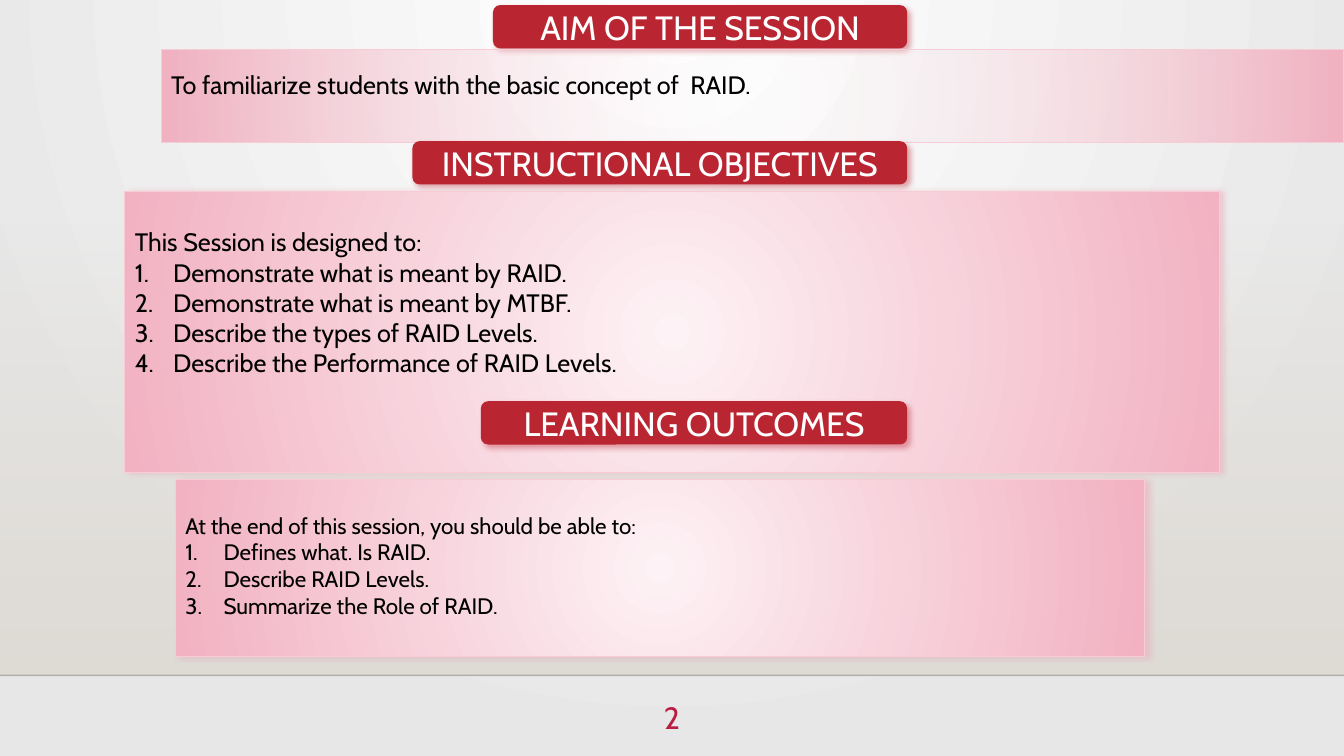
"""Build the session overview slide: aim, objectives and outcomes."""
from lxml.etree import SubElement
from pptx import Presentation
from pptx.dml.color import RGBColor
from pptx.enum.shapes import MSO_CONNECTOR, MSO_SHAPE
from pptx.enum.text import MSO_ANCHOR, PP_ALIGN
from pptx.oxml.ns import qn
from pptx.util import Inches, Pt

THEME = {
    "font": "Cabin", "heading": 24, "body": 18, "small": 16, "number": 22,
    "red": "BA2532", "accent": "B71E42", "white": "FFFFFF", "black": "000000",
    "edge": "F7CCD6", "pale": "FDF2F5", "pink": "F2B2C2", "glow": "EE99AD",
    "grey": "E7E7E7", "sand": "DFDBD5", "rule": "000001",
}

deck = Presentation()
deck.slide_width, deck.slide_height = Inches(13.33), Inches(7.5)
COLUMN, ROW = deck.slide_width / 100, deck.slide_height / 100
page = deck.slides.add_slide(deck.slide_layouts[6])


def paint_gradient(fill, element, start, end, start_alpha=100, centre=None):
    """Fill with a two-colour gradient, circular when a centre is given."""
    fill.gradient()
    gradient = element.find(".//" + qn("a:gradFill"))
    for child in list(gradient):
        gradient.remove(child)
    stops = SubElement(gradient, qn("a:gsLst"))
    for position, colour, alpha in ((0, start, start_alpha), (100, end, 100)):
        stop = SubElement(stops, qn("a:gs"), pos=str(position * 1000))
        shade = SubElement(stop, qn("a:srgbClr"), val=THEME[colour])
        SubElement(shade, qn("a:alpha"), val=str(alpha * 1000))
    if centre:
        circle = SubElement(gradient, qn("a:path"), path="circle")
        sides = {side: str(share * 1000) for side, share in zip("ltrb", centre)}
        SubElement(circle, qn("a:fillToRect"), **sides)
    else:
        SubElement(gradient, qn("a:lin"), ang="5400000", scaled="0")


def write(para, text, size, colour):
    """Add one styled run to a paragraph."""
    span = para.add_run()
    span.text = text
    span.font.name, span.font.size = THEME["font"], Pt(THEME[size])
    span.font.color.rgb = RGBColor.from_string(THEME[colour])


paint_gradient(page.background.fill, page.element, "white", "grey", centre=(43, 0, 43, 100))

band = page.shapes.add_shape(
    MSO_SHAPE.RECTANGLE, 0, round(29.5 * ROW), deck.slide_width, round(59.83 * ROW))
band.shadow.inherit = False
band.line.fill.background()
paint_gradient(band.fill, band.element, "sand", "sand", start_alpha=0)

rule_top = round(89.33 * ROW)
rule = page.shapes.add_connector(
    MSO_CONNECTOR.STRAIGHT, 0, rule_top, deck.slide_width, rule_top)
rule.line.width = Pt(1)
rule.line.color.rgb = RGBColor.from_string(THEME["rule"])
SubElement(rule.element.find(".//" + qn("a:srgbClr")), qn("a:alpha"), val="20000")
SubElement(rule.element.spPr, qn("a:effectLst"))

number = page.shapes.add_textbox(
    round(46.65 * COLUMN), round(91.73 * ROW), round(6.7 * COLUMN), round(7.33 * ROW))
number.text_frame.word_wrap = True
number_para = number.text_frame.paragraphs[0]
number_para.alignment = PP_ALIGN.CENTER
write(number_para, "2", "number", "accent")

BANNER_RIGHT, BANNER_HEIGHT = 67.5, 5.73
SECTIONS = [
    {"title": "AIM OF THE SESSION", "banner": (36.68, 0.67),
     "panel": (12, 6.53, 88, 12.27), "centre_alpha": 0, "glow": False,
     "size": "body", "spacing": 1.5,
     "intro": "To familiarize students with the basic concept of  RAID.", "items": []},
    {"title": "INSTRUCTIONAL OBJECTIVES", "banner": (30.68, 18.67),
     "panel": (9.3, 25.33, 81.45, 37.2), "centre_alpha": 100, "glow": True,
     "size": "body", "spacing": 2, "intro": "This Session is designed to:",
     "items": ["Demonstrate what is meant by RAID.", "Demonstrate what is meant by MTBF.",
               "Describe the types of RAID Levels.",
               "Describe the Performance of RAID Levels."]},
    {"title": "LEARNING OUTCOMES", "banner": (35.78, 53.07),
     "panel": (13.05, 63.47, 72.08, 23.33), "centre_alpha": 100, "glow": True,
     "size": "small", "spacing": 2,
     "intro": "At the end of this session, you should be able to:",
     "items": ["Defines what. Is RAID.", "Describe RAID Levels.",
               "Summarize the Role of RAID."]},
]

for section in SECTIONS:
    left, top = section["banner"]
    banner_area = (left, top, BANNER_RIGHT - left, BANNER_HEIGHT)
    parts = [(MSO_SHAPE.ROUNDED_RECTANGLE, banner_area, "red", 45),
             (MSO_SHAPE.RECTANGLE, section["panel"], "glow" if section["glow"] else None, 0)]
    boxes = []
    for outline, (left, top, width, height), shadow, angle in parts:
        box = page.shapes.add_shape(outline, round(left * COLUMN), round(top * ROW),
                                    round(width * COLUMN), round(height * ROW))
        box.shadow.inherit = False
        box.text_frame.word_wrap = True
        if shadow:
            cast = SubElement(
                box.element.spPr.find(qn("a:effectLst")), qn("a:outerShdw"),
                blurRad=str(Pt(4)), dist=str(Pt(3)), dir=str(angle * 60000), rotWithShape="0")
            tint = SubElement(cast, qn("a:srgbClr"), val=THEME[shadow])
            SubElement(tint, qn("a:alpha"), val="40000")
        boxes.append(box)
    banner, panel = boxes

    banner.fill.solid()
    banner.fill.fore_color.rgb = RGBColor.from_string(THEME["red"])
    banner.line.fill.background()
    banner.text_frame.vertical_anchor = MSO_ANCHOR.MIDDLE
    heading = banner.text_frame.paragraphs[0]
    heading.alignment = PP_ALIGN.CENTER
    write(heading, section["title"], "heading", "white")

    paint_gradient(panel.fill, panel.element, "pale", "pink",
                   section["centre_alpha"], (50, 50, 50, 50))
    panel.line.color.rgb = RGBColor.from_string(THEME["edge"])
    panel.line.width = Pt(0.75)
    panel.text_frame.vertical_anchor = MSO_ANCHOR.TOP
    intro = panel.text_frame.paragraphs[0]
    intro.alignment = PP_ALIGN.LEFT
    intro.line_spacing = section["spacing"]
    write(intro, section["intro"], section["size"], "black")
    for item in section["items"]:
        para = panel.text_frame.add_paragraph()
        para.alignment = PP_ALIGN.LEFT
        layout = para._p.get_or_add_pPr()
        layout.set("marL", str(Inches(0.38)))
        layout.set("indent", str(-Inches(0.38)))
        SubElement(layout, qn("a:buFont"), typeface="+mj-lt")
        SubElement(layout, qn("a:buAutoNum"), type="arabicPeriod")
        write(para, item, section["size"], "black")

deck.save("out.pptx")
